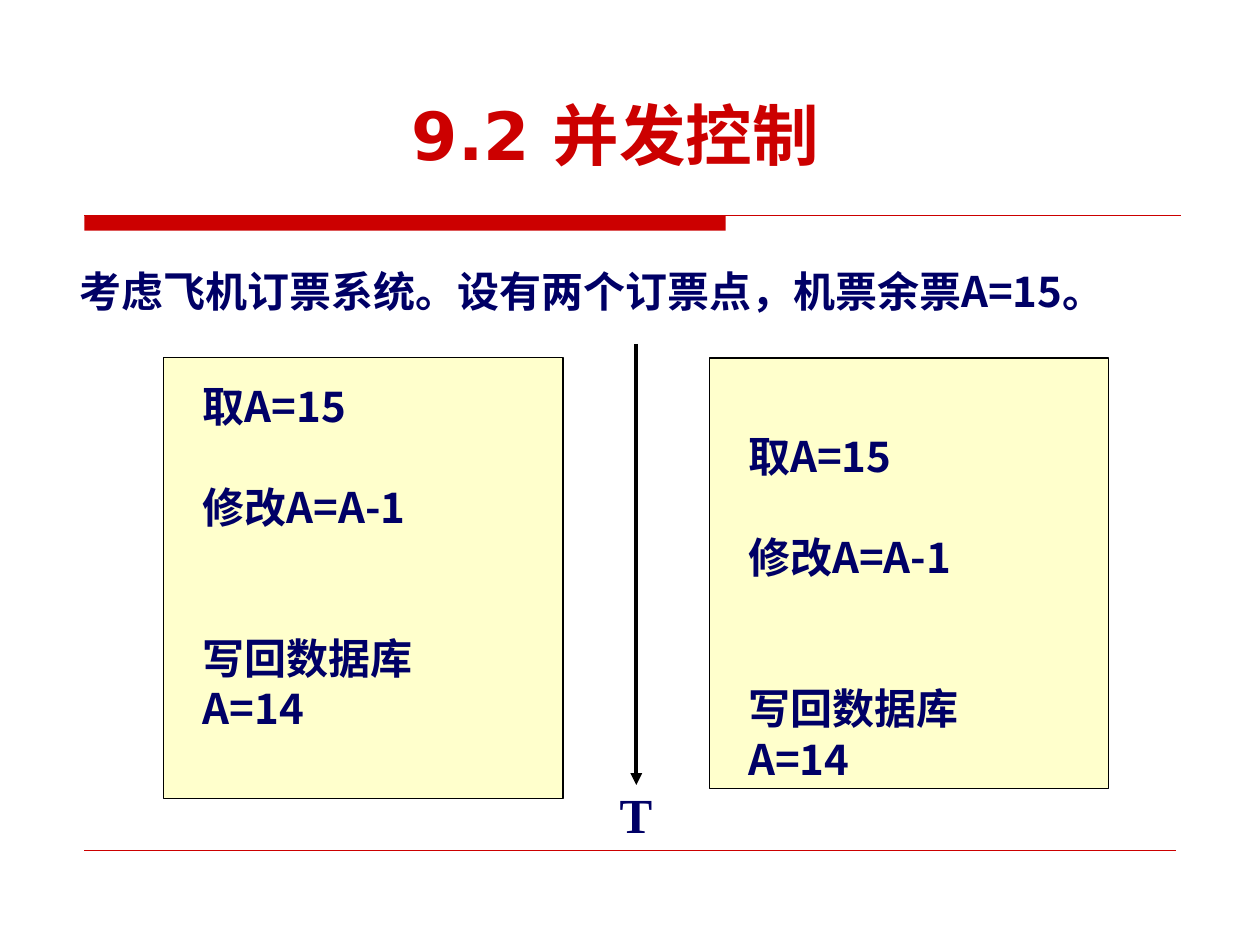
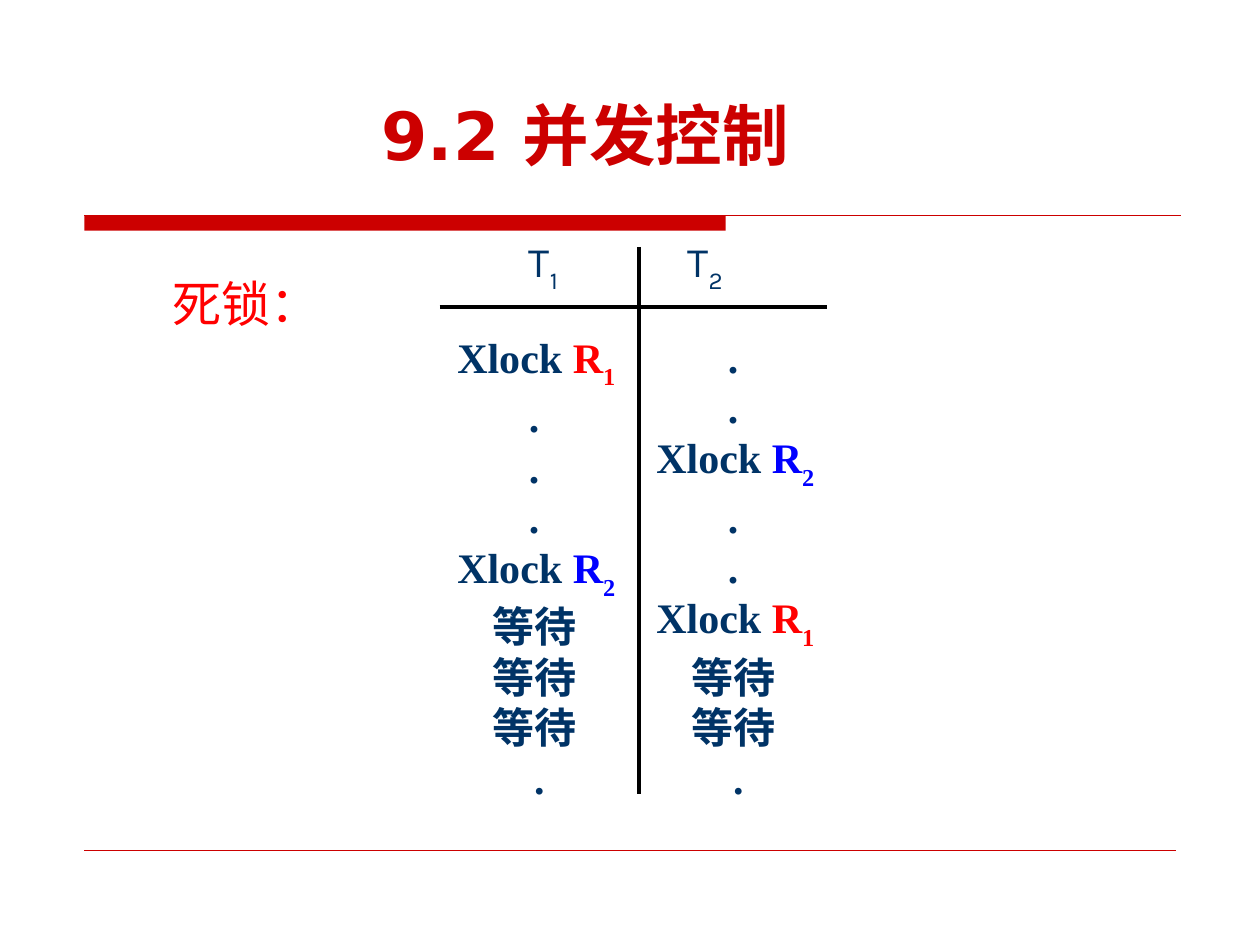
from dataclasses import dataclass
from lxml.etree import SubElement
from pptx import Presentation
from pptx.dml.color import RGBColor
from pptx.enum.shapes import MSO_CONNECTOR, MSO_SHAPE
from pptx.enum.text import MSO_ANCHOR, PP_ALIGN
from pptx.oxml.ns import qn
from pptx.util import Inches, Pt


@dataclass(frozen=True)
class Theme:
    red: str = "CC0000"
    navy: str = "000066"
    slate: str = "003366"
    black: str = "000000"
    cream: str = "FFFFCC"
    first_resource: str = "FF0000"
    second_resource: str = "0000FF"
    title_font: str = "DejaVu Sans"
    cjk_font: str = "Noto Sans CJK SC"
    serif_font: str = "Times New Roman"
    plain_font: str = "Arial"
    header_font: str = "Karla"
    title_size: int = 38
    label_size: int = 28
    body_size: int = 24
    leading: float = 1.2
    subscript_leading: float = 1.41


THEME = Theme()


@dataclass(frozen=True)
class Run:
    text: str
    color: str = ""
    subscript: bool = False


@dataclass(frozen=True)
class Line:
    runs: tuple
    font: str
    size: int = THEME.body_size
    color: str = THEME.navy
    bold: bool = True
    blank_before: int = 0
    tab: float = 0


def plain(text, font, **style):
    return Line((Run(text),), font, **style)


def write_line(paragraph, line, align):
    paragraph.alignment = align
    lowered = any(run.subscript for run in line.runs)
    ratio = THEME.subscript_leading if lowered else THEME.leading
    paragraph.line_spacing = Pt(line.size * ratio)
    if line.blank_before:
        paragraph.space_before = Pt(line.blank_before * line.size * THEME.leading)
    if line.tab:
        stops = SubElement(paragraph._p.get_or_add_pPr(), qn("a:tabLst"))
        SubElement(stops, qn("a:tab"), pos=str(Inches(line.tab)), algn="l")
    font = paragraph.font
    font.size = Pt(line.size)
    font.bold = line.bold
    font.color.rgb = RGBColor.from_string(line.color)
    font.name = line.font
    defaults = paragraph._p.pPr.find(qn("a:defRPr"))
    SubElement(defaults, qn("a:ea"), typeface=THEME.cjk_font)
    for part in line.runs:
        for index, piece in enumerate(part.text.split("\n")):
            if index:
                paragraph.add_line_break()
            run = paragraph.add_run()
            run.text = piece
            if part.color:
                run.font.color.rgb = RGBColor.from_string(part.color)
            if part.subscript:
                run._r.get_or_add_rPr().set("baseline", "-30000")


def add_text(slide, left, top, width, height, lines, align=PP_ALIGN.LEFT,
             anchor=MSO_ANCHOR.TOP, wrap=False):
    frame = slide.shapes.add_textbox(
        Inches(left), Inches(top), Inches(width), Inches(height)).text_frame
    frame.word_wrap = wrap
    frame.vertical_anchor = anchor
    for index, line in enumerate(lines):
        paragraph = frame.add_paragraph() if index else frame.paragraphs[0]
        write_line(paragraph, line, align)


def add_rule(slide, start, end, color=THEME.black, weight=2.25, arrow=False):
    rule = slide.shapes.add_connector(
        MSO_CONNECTOR.STRAIGHT, *(Inches(value) for value in (*start, *end)))
    rule.line.color.rgb = RGBColor.from_string(color)
    rule.line.width = Pt(weight)
    if arrow:
        SubElement(rule.line._get_or_add_ln(), qn("a:tailEnd"), type="triangle")
    SubElement(rule._element.spPr, qn("a:effectLst"))


def add_panel(slide, left, top, width, height, fill, outline=None):
    panel = slide.shapes.add_shape(
        MSO_SHAPE.RECTANGLE, Inches(left), Inches(top), Inches(width), Inches(height))
    panel.shadow.inherit = False
    panel.fill.solid()
    panel.fill.fore_color.rgb = RGBColor.from_string(fill)
    if outline:
        panel.line.color.rgb = RGBColor.from_string(outline)
        panel.line.width = Pt(0.75)
    else:
        panel.line.fill.background()


def add_base_slide(presentation, title_left):
    slide = presentation.slides.add_slide(presentation.slide_layouts[6])
    add_panel(slide, 0.67, 1.71, 5.09, 0.12, THEME.red)
    add_rule(slide, (0.67, 1.71), (9.37, 1.71), THEME.red, 0.75)
    add_rule(slide, (0.67, 6.75), (9.33, 6.75), THEME.red, 0.25)
    title = plain("9.2 并发控制", THEME.title_font, size=THEME.title_size, color=THEME.red)
    add_text(slide, title_left, 0.6, 8.75, 0.83, [title],
             PP_ALIGN.CENTER, MSO_ANCHOR.BOTTOM, wrap=True)
    return slide


def add_booking_point(slide, left, panel_height, steps_top):
    add_panel(slide, left, 2.84, 3.17, panel_height, THEME.cream, THEME.black)
    steps = [
        plain("取A=15", THEME.cjk_font),
        plain("修改A=A-1", THEME.cjk_font, blank_before=1),
        plain("写回数据库\nA=14", THEME.cjk_font, blank_before=2),
    ]
    add_text(slide, left + 0.21, steps_top, 2.75, 2.5, steps)


def build_booking_slide(presentation):
    slide = add_base_slide(presentation, 0.51)
    scenario = "考虑飞机订票系统。设有两个订票点，机票余票A=15。"
    add_text(slide, 0.53, 2.06, 9.19, 0.52, [plain(scenario, THEME.cjk_font)], wrap=True)
    add_booking_point(slide, 1.3, 3.5, 2.97)
    add_booking_point(slide, 5.63, 3.42, 3.37)
    add_rule(slide, (5.05, 2.73), (5.05, 6.23), arrow=True)
    time_label = plain("T", THEME.serif_font, size=THEME.label_size)
    add_text(slide, 4.82, 6.18, 0.46, 0.57, [time_label])


def lock(number, color):
    runs = (Run("Xlock "), Run("R", color), Run(f"{number} ", color, True))
    return Line(runs, THEME.serif_font, color=THEME.slate)


def add_schedule(slide, left, lines):
    add_text(slide, left, 2.71, 1.58, 3.58, lines, PP_ALIGN.CENTER, MSO_ANCHOR.MIDDLE)


def build_deadlock_slide(presentation):
    slide = add_base_slide(presentation, 0.27)
    topic = plain("死锁：", THEME.plain_font, size=THEME.label_size,
                  color=THEME.first_resource, bold=False)
    add_text(slide, 1.27, 2.12, 1.36, 0.57, [topic])

    transactions = Line(
        (Run("T"), Run("1", subscript=True), Run("\tT"), Run("2", subscript=True)),
        THEME.header_font, color=THEME.slate, bold=False, tab=1.26)
    add_text(slide, 4.1, 1.82, 2, 0.57, [transactions], anchor=MSO_ANCHOR.MIDDLE)
    add_rule(slide, (5.07, 1.96), (5.07, 6.3))
    add_rule(slide, (3.49, 2.44), (6.56, 2.44))

    lock_first = lock(1, THEME.first_resource)
    lock_second = lock(2, THEME.second_resource)
    pause = plain(". ", THEME.serif_font, color=THEME.slate)
    wait = plain("等待 ", THEME.plain_font, color=THEME.slate)
    last = plain(".", THEME.serif_font, color=THEME.slate)
    add_schedule(slide, 3.49, [lock_first, *[pause] * 3, lock_second, *[wait] * 3, last])
    add_schedule(slide, 5.07, [*[pause] * 2, lock_second, *[pause] * 2, lock_first,
                               *[wait] * 2, last])


def main():
    presentation = Presentation()
    presentation.slide_width = Inches(10)
    presentation.slide_height = Inches(7.5)
    build_booking_slide(presentation)
    build_deadlock_slide(presentation)
    presentation.save("out.pptx")


if __name__ == "__main__":
    main()
